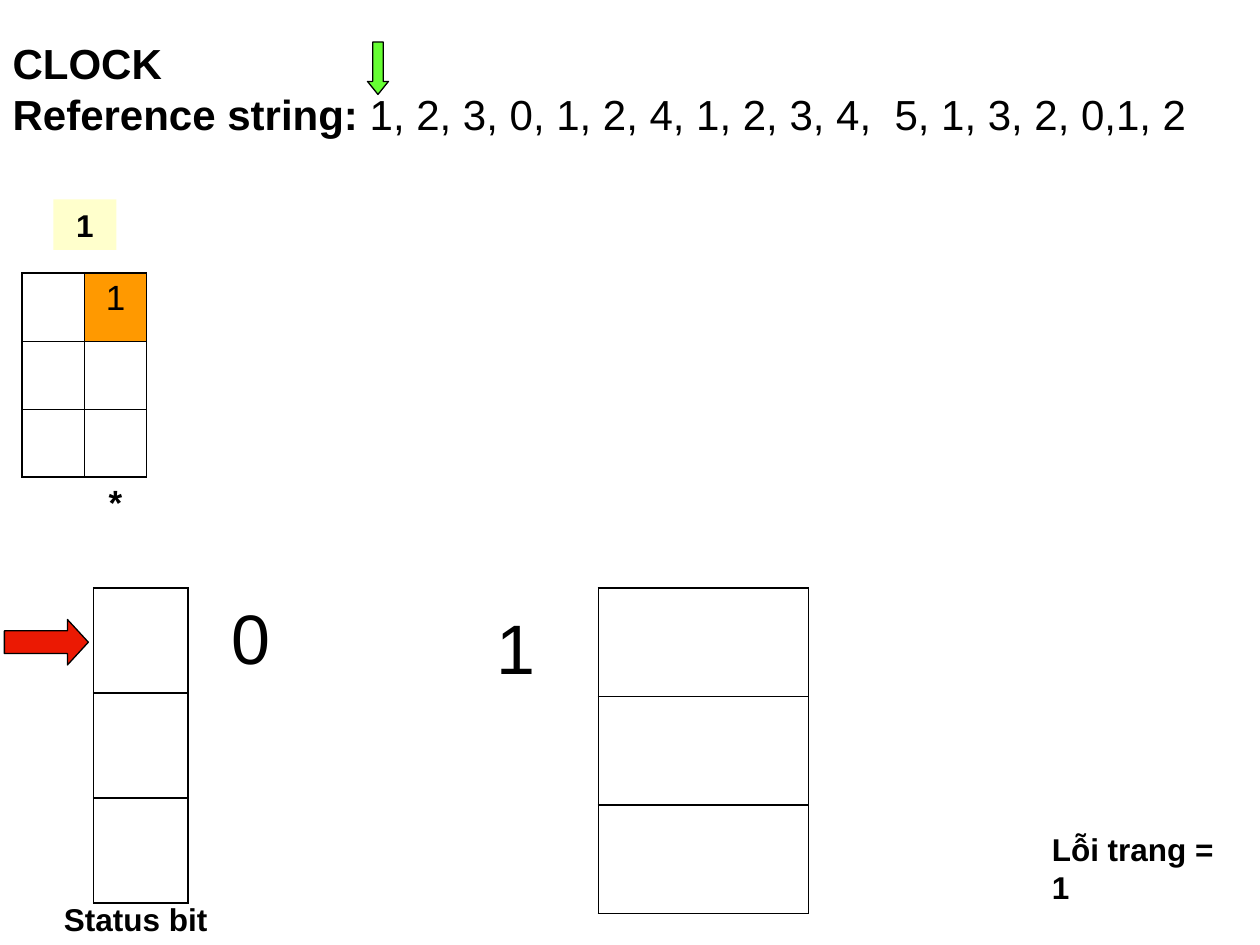
from lxml.etree import SubElement
from pptx import Presentation
from pptx.dml.color import RGBColor
from pptx.enum.shapes import MSO_SHAPE as Shape
from pptx.enum.text import MSO_ANCHOR as Anchor, MSO_AUTO_SIZE as AutoSize, PP_ALIGN as Align
from pptx.oxml.ns import qn
from pptx.util import Pt

COLORS = {
    "ink": "000000",
    "request": "FFFFCC",
    "fault": "FF9900",
    "current": "66FF33",
    "hand": "EB1903",
}
THICK, THIN = 1.08, 0.45


def color(name):
    return RGBColor.from_string(COLORS[name])


def write(frame, text, size=18, bold=False, align=Align.LEFT, new_line=False):
    """Append a formatted run, on a new paragraph if asked."""
    line = frame.add_paragraph() if new_line else frame.paragraphs[-1]
    line.alignment = align
    run = line.add_run()
    run.text = text
    run.font.name = "Arial"
    run.font.size = Pt(size)
    run.font.bold = bold
    run.font.color.rgb = color("ink")


def add_label(slide, box, text, **text_format):
    label = slide.shapes.add_textbox(*map(Pt, box))
    label.text_frame.word_wrap = False
    write(label.text_frame, text, **text_format)


def add_figure(slide, box, preset, fill, outlined=True):
    figure = slide.shapes.add_shape(preset, *map(Pt, box))
    figure.shadow.inherit = False
    figure.fill.solid()
    figure.fill.fore_color.rgb = color(fill)
    if outlined:
        figure.line.color.rgb = color("ink")
        figure.line.width = Pt(0.75)
    else:
        figure.line.fill.background()
    return figure


def add_arrow(slide, box, preset, fill, head):
    arrow = add_figure(slide, box, preset, fill)
    arrow.adjustments[0] = 0.5
    arrow.adjustments[1] = head


def set_borders(cell, **widths):
    """Draw the sides L, R, T and B; a width of 0 leaves a side blank."""
    properties = cell._tc.get_or_add_tcPr()
    for place, side in enumerate("LRTB"):
        width = widths.get(side, 0)
        border = SubElement(properties, qn(f"a:ln{side}"))
        properties.insert(place, border)
        if width:
            border.set("w", str(int(Pt(width))))
            fill = SubElement(border, qn("a:solidFill"))
            SubElement(fill, qn("a:srgbClr")).set("val", COLORS["ink"])
        else:
            SubElement(border, qn("a:noFill"))


def add_column(slide, box, rows):
    """Add a plain one-column table and return its cells."""
    table = slide.shapes.add_table(rows, 1, *map(Pt, box)).table
    table.first_row = table.horz_banding = False
    for row in table.rows:
        row.height = Pt(box[3] / rows)
    cells = [row.cells[0] for row in table.rows]
    for cell in cells:
        cell.fill.background()
    return cells


def add_heading(slide, box):
    title = slide.shapes.title
    title.left, title.top, title.width, title.height = map(Pt, box)
    frame = title.text_frame
    frame.auto_size = AutoSize.NONE
    frame.word_wrap = True
    frame.vertical_anchor = Anchor.TOP
    write(frame, "CLOCK", size=24, bold=True)
    write(frame, "Reference string:", size=24, bold=True, new_line=True)
    write(frame, " 1, 2, 3, 0, 1, 2, 4, 1, 2, 3, 4,  5, 1, 3, 2, 0,1, 2", size=24)


def add_request(slide, box, page):
    request = add_figure(slide, box, Shape.RECTANGLE, "request", outlined=False)
    request.text_frame.vertical_anchor = Anchor.MIDDLE
    write(request.text_frame, page, bold=True, align=Align.CENTER)


def add_frames_state(slide, box, page="", mark=""):
    """Three page frames above an open cell for the fault mark."""
    *frames, footer = add_column(slide, box, 4)
    if page:
        frames[0].fill.solid()
        frames[0].fill.fore_color.rgb = color("fault")
        write(frames[0].text_frame, page, size=20, align=Align.CENTER)
    if mark:
        write(footer.text_frame, mark, size=20, bold=True, align=Align.CENTER)
    for index, cell in enumerate(frames):
        set_borders(cell, L=THICK, R=THICK,
                    T=THICK if index == 0 else THIN,
                    B=THICK if index == 2 else THIN)
    set_borders(footer, T=THICK)


def add_grid(slide, box):
    for cell in add_column(slide, box, 3):
        set_borders(cell, L=THICK, R=THICK, T=THICK, B=THICK)


def add_status_bits(slide, box):
    left, top, width, height = box
    add_grid(slide, box)
    add_arrow(slide, (left - 51, top + 18, 48, 26), Shape.RIGHT_ARROW, "hand", 0.46)
    add_label(slide, (left - 24, top + 175, 96.5, 29), "Status bit", bold=True)
    add_label(slide, (left + width + 18, top, 36.5, 55.5), "0", size=40)


def add_memory(slide, box):
    left, top, _, _ = box
    add_grid(slide, box)
    add_label(slide, (left - 65.5, top + 6, 36.5, 55.5), "1", size=40)


def main():
    deck = Presentation()
    deck.slide_width, deck.slide_height = Pt(720), Pt(540)
    slide = deck.slides.add_slide(deck.slide_layouts[5])

    # Heading with the current reference marked
    add_heading(slide, (0, 18, 720, 65))
    add_arrow(slide, (210, 24, 12, 30), Shape.DOWN_ARROW, "current", 0.62)

    # Frame contents before and after the request
    add_request(slide, (30.5, 114, 36, 28.8), "1")
    states = [{}, {"page": "1", "mark": "*"}]
    for step, state in enumerate(states):
        add_frames_state(slide, (12.75 + step * 35.5, 156, 35.5, 155.5), **state)

    # Clock hand, status bits and memory
    add_status_bits(slide, (53.5, 336, 54, 180))
    add_memory(slide, (342, 336, 120, 186))

    # Fault count
    add_label(slide, (594, 471, 121.5, 29), "Lỗi trang = 1", bold=True)

    deck.save("out.pptx")


if __name__ == "__main__":
    main()
